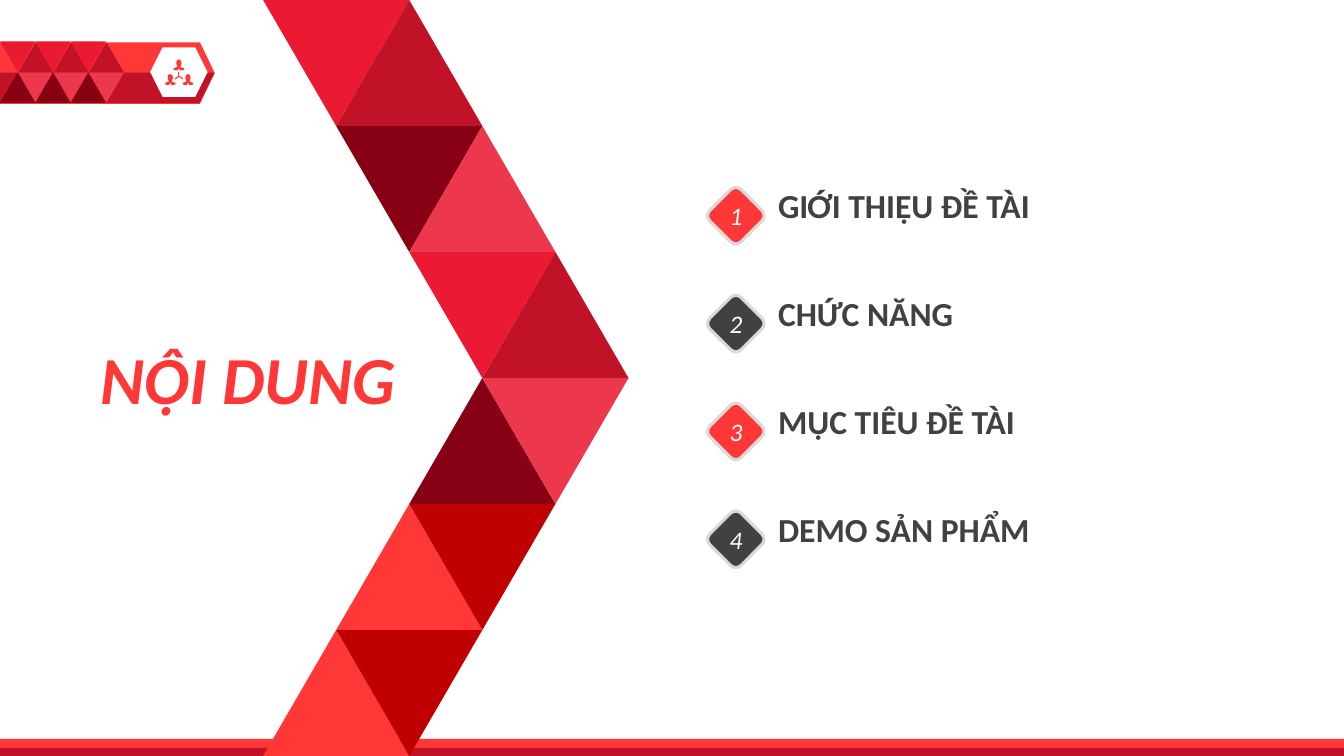
import pptx
import pptx.util
import pptx.dml.color
import pptx.enum.shapes
import pptx.enum.text
import lxml.etree

Inches = pptx.util.Inches
Pt = pptx.util.Pt
RGB = pptx.dml.color.RGBColor.from_string
KIND = pptx.enum.shapes.MSO_SHAPE

COLORS = {
    "coral": "FF3737", "red": "EB1932", "crimson": "C21227", "rose": "ED374D",
    "maroon": "880014", "deep": "C00000", "dark": "414141", "edge": "D9D9D9",
    "white": "FFFFFF",
}

deck = pptx.Presentation()
deck.slide_width, deck.slide_height = Inches(13.333), Inches(7.5)
slide = deck.slides.add_slide(deck.slide_layouts[6])
shapes = slide.shapes


def add_solid(kind, left, top, width, height, color, rotation=0):
    solid = shapes.add_shape(kind, Inches(left), Inches(top), Inches(width), Inches(height))
    solid.rotation = rotation
    solid.shadow.inherit = False
    solid.fill.solid()
    solid.fill.fore_color.rgb = RGB(COLORS[color])
    solid.line.fill.background()
    return solid


def add_label(text, left, top, width, height, size, color, bold=False, italic=False):
    label = shapes.add_textbox(Inches(left), Inches(top), Inches(width), Inches(height))
    label.text_frame.word_wrap = True
    label.text_frame.auto_size = pptx.enum.text.MSO_AUTO_SIZE.SHAPE_TO_FIT_TEXT
    run = label.text_frame.paragraphs[0].add_run()
    run.text = text
    run.font.name, run.font.size = "Calibri", Pt(size)
    run.font.bold, run.font.italic = bold, italic
    run.font.color.rgb = RGB(COLORS[color])
    return label


# Header ribbon with its darker lower half
ribbon = add_solid(KIND.PENTAGON, 0, 0.42, 2.13, 0.61, "coral")
ribbon.adjustments[0] = 0.239
lower_outline = shapes.build_freeform(0, Inches(0.72), scale=1.0)
lower_outline.add_line_segments(
    [(Inches(x), Inches(y)) for x, y in [(2.13, 0.72), (1.98, 1.02), (0, 1.02)]])
ribbon_lower = lower_outline.convert_to_shape()
add_solid(KIND.HEXAGON, 1.49, 0.47, 0.57, 0.49, "white")

# Team icon: three people joined at a hub
half_person = [(0, 0), (0.02, 0.01), (0.026, 0.035), (0.02, 0.06), (0.013, 0.07),
               (0.03, 0.08), (0.05, 0.087), (0.055, 0.1), (0.03, 0.108),
               (0.012, 0.108), (0, 0.085)]
person = half_person + [(-x, y) for x, y in half_person[-2:0:-1]]
team_outline = None
for center, top in [(1.775, 0.59), (1.69, 0.735), (1.865, 0.735)]:
    points = [(Inches(center + x), Inches(top + y)) for x, y in person]
    if team_outline is None:
        team_outline = shapes.build_freeform(*points[0], scale=1.0)
    else:
        team_outline.move_to(*points[0])
    team_outline.add_line_segments(points[1:])
team = team_outline.convert_to_shape()

for outline, color in [(ribbon_lower, "crimson"), (team, "coral")]:
    outline.shadow.inherit = False
    outline.fill.solid()
    outline.fill.fore_color.rgb = RGB(COLORS[color])
    outline.line.fill.background()

for x, y in [(1.775, 0.71), (1.735, 0.785), (1.815, 0.785)]:
    spoke = shapes.add_connector(pptx.enum.shapes.MSO_CONNECTOR.STRAIGHT,
                                 Inches(1.775), Inches(0.755), Inches(x), Inches(y))
    spoke.line.color.rgb = RGB(COLORS["coral"])
    spoke.line.width = Pt(0.75)
    lxml.etree.SubElement(spoke._element.spPr,
                          "{http://schemas.openxmlformats.org/drawingml/2006/main}effectLst")

# Triangles on the ribbon
for column in range(3):
    left = column * 0.35
    for offset, top, rotation, color in [(0, 0.41, 180, "red"), (0.18, 0.42, 0, "crimson"),
                                         (0.18, 0.72, 180, "rose"), (0, 0.72, 0, "maroon")]:
        add_solid(KIND.ISOSCELES_TRIANGLE, left + offset, top, 0.35, 0.3, color, rotation)

# Footer bands
add_solid(KIND.RECTANGLE, 0, 7.33, 13.333, 0.16, "coral")
add_solid(KIND.RECTANGLE, 0, 7.42, 13.333, 0.08, "crimson")

# Large arrow: two triangles per row, stepping right and then back
arrow_rows = [("red", "crimson"), ("maroon", "rose"), ("red", "crimson"),
              ("maroon", "rose"), ("coral", "deep"), ("coral", "deep")]
for row, pair in enumerate(arrow_rows):
    step = min(row, 5 - row)
    for side, color in enumerate(pair):
        points_down = (row < 3) == (side == 0)
        add_solid(KIND.ISOSCELES_TRIANGLE, 2.61 + (step + side) * 0.725, row * 1.25,
                  1.45, 1.25, color, 180 if points_down else 0)

# Title
add_label("NỘI DUNG", 0.9, 3.3, 4.12, 0.9, 48, "coral", bold=True, italic=True)

# Agenda
agenda = ["GIỚI THIỆU ĐỀ TÀI", "CHỨC NĂNG", "MỤC TIÊU ĐỀ TÀI", "DEMO SẢN PHẨM"]
for index, topic in enumerate(agenda):
    top = 1.79 + index * 1.07
    add_label(topic, 7.62, top, 3.8, 0.5, 24, "dark", bold=True)
    badge = add_solid(KIND.ROUNDED_RECTANGLE, 7.08, top + 0.13, 0.44, 0.44,
                      "dark" if index % 2 else "coral", 45)
    badge.line.color.rgb = RGB(COLORS["edge"])
    badge.line.width = Pt(2.25)
    number = add_label(str(index + 1), 7.14, top + 0.15, 0.32, 0.4, 18, "white", italic=True)
    number.text_frame.word_wrap = False
    number.text_frame.paragraphs[0].alignment = pptx.enum.text.PP_ALIGN.CENTER

deck.save("out.pptx")
